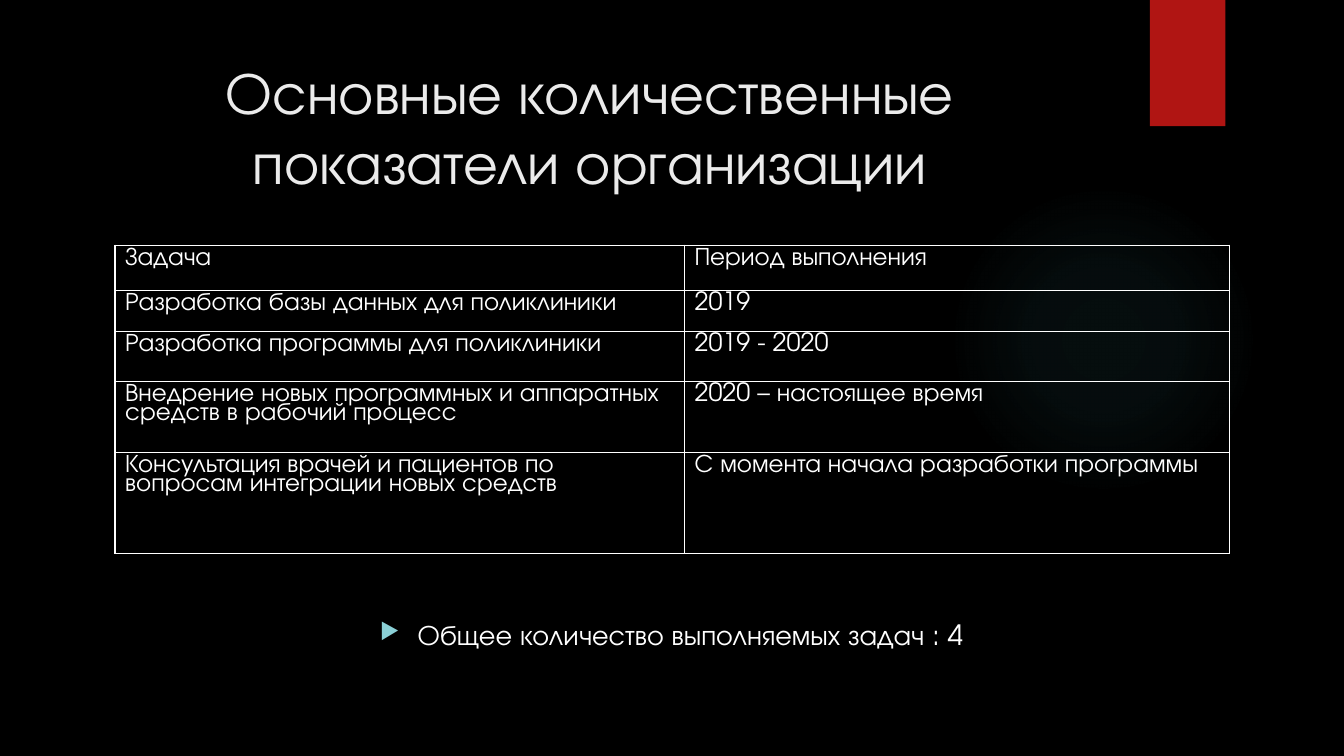
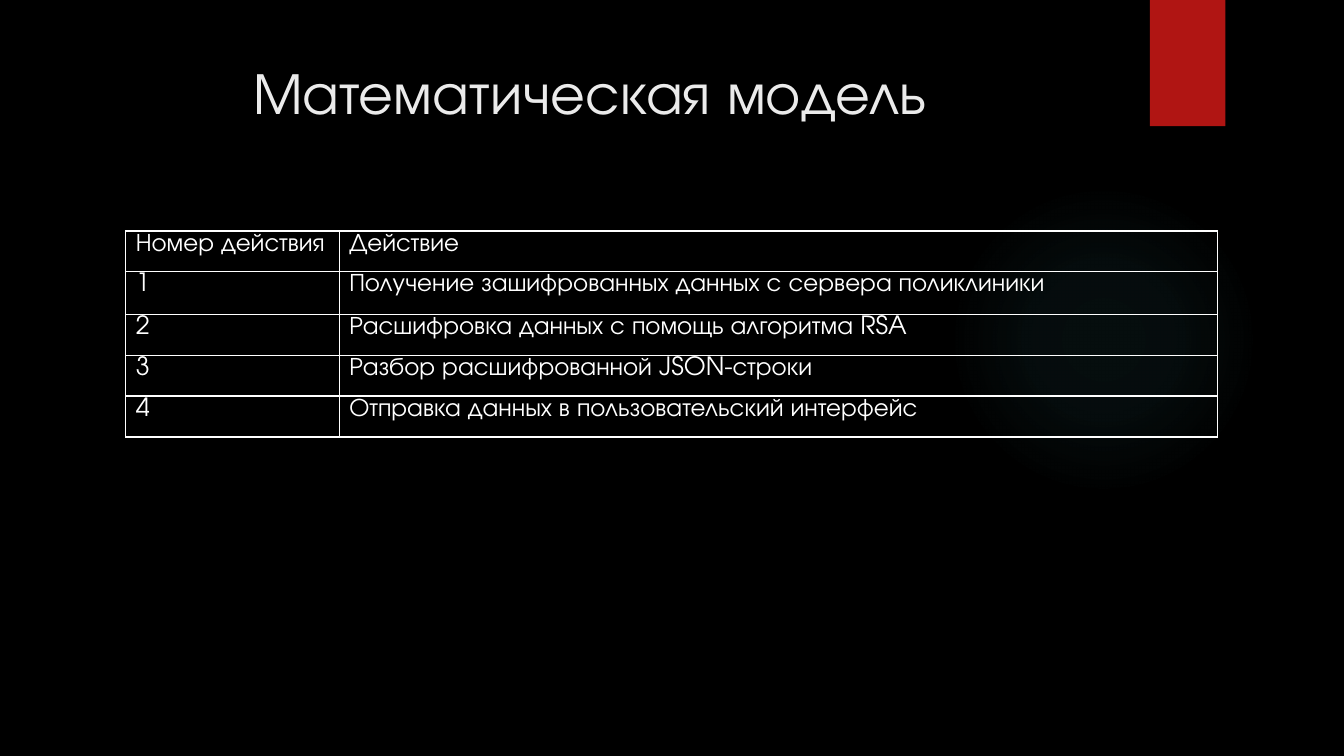
"""Build two dark slides, each with a title and a bordered table."""
from lxml.etree import SubElement
from pptx import Presentation
from pptx.dml.color import RGBColor
from pptx.enum.shapes import MSO_SHAPE as Preset
from pptx.enum.text import MSO_ANCHOR as Anchor, PP_ALIGN as Align
from pptx.oxml import parse_xml
from pptx.oxml.ns import nsdecls, qn
from pptx.util import Cm, Pt

COLORS = {
    "background": "000000",
    "ribbon": "B01513",
    "glow": "50B9C1",
    "title": "EBEBEB",
    "text": "FFFFFF",
    "bullet": "8AD0D6",
}
FONT = "TeX Gyre Adventor"
STYLES = {
    "title": {
        "font": {"name": FONT, "size": Pt(42)},
        "paragraph": {"alignment": Align.CENTER},
        "color": "title",
    },
    "body": {
        "font": {"name": FONT, "size": Pt(20)},
        "paragraph": {"alignment": Align.CENTER},
        "color": "text",
    },
    "cell": {
        "font": {"name": FONT, "size": Pt(18)},
        "paragraph": {"alignment": Align.LEFT, "line_spacing": 0.8},
        "color": "text",
    },
}
GLOW_STOPS = [(0, 7), (36, 6), (69, 0)]
SLIDES = [
    {
        "title": "Основные количественные показатели организации",
        "left": 2.9,
        "top": 6.18,
        "columns": [14.35, 13.74],
        "rows": [1.14, 1.04, 1.26, 1.79, 2.54],
        "cells": [
            ("Задача", "Период выполнения"),
            ("Разработка базы данных для поликлиники", "2019"),
            ("Разработка программы для поликлиники", "2019 - 2020"),
            ("Внедрение новых программных и аппаратных средств в рабочий процесс",
             "2020 – настоящее время"),
            ("Консультация врачей и пациентов по вопросам интеграции новых средств",
             "С момента начала разработки программы"),
        ],
        "summary": "Общее количество выполняемых задач : 4",
    },
    {
        "title": "Математическая модель",
        "left": 3.17,
        "top": 5.82,
        "columns": [5.38, 22.13],
        "rows": [1.03, 1.07, 1.03, 1.03, 1.03],
        "cells": [
            ("Номер действия", "Действие"),
            ("1", "Получение зашифрованных данных с сервера поликлиники"),
            ("2", "Расшифровка данных с помощь алгоритма RSA"),
            ("3", "Разбор расшифрованной JSON-строки"),
            ("4", "Отправка данных в пользовательский интерфейс"),
        ],
        "summary": None,
    },
]


def write_text(frame, text, style_name):
    style = STYLES[style_name]
    frame.word_wrap = True
    frame.vertical_anchor = Anchor.TOP
    paragraph = frame.paragraphs[0]
    for name, value in style["paragraph"].items():
        setattr(paragraph, name, value)
    run = paragraph.add_run()
    run.text = text
    for name, value in style["font"].items():
        setattr(run.font, name, value)
    run.font.color.rgb = RGBColor.from_string(COLORS[style["color"]])
    return paragraph


presentation = Presentation()
presentation.slide_width = Cm(33.87)
presentation.slide_height = Cm(19.05)

for content in SLIDES:
    slide = presentation.slides.add_slide(presentation.slide_layouts[6])
    slide.background.fill.solid()
    slide.background.fill.fore_color.rgb = RGBColor.from_string(COLORS["background"])

    glow = slide.shapes.add_shape(Preset.OVAL, Cm(23.9), Cm(4.65), Cm(7.82), Cm(7.82))
    ribbon = slide.shapes.add_shape(Preset.RECTANGLE, Cm(28.98), Cm(0), Cm(1.9), Cm(3.18))
    for shape in (glow, ribbon):
        shape.shadow.inherit = False
        shape.line.fill.background()
    ribbon.fill.solid()
    ribbon.fill.fore_color.rgb = RGBColor.from_string(COLORS["ribbon"])
    stops = "".join(
        f'<a:gs pos="{position * 1000}"><a:srgbClr val="{COLORS["glow"]}">'
        f'<a:alpha val="{opacity * 1000}"/></a:srgbClr></a:gs>'
        for position, opacity in GLOW_STOPS
    )
    gradient = parse_xml(
        f'<a:gradFill {nsdecls("a")} rotWithShape="1"><a:gsLst>{stops}</a:gsLst>'
        '<a:path path="circle"><a:fillToRect l="50000" t="50000" r="50000" b="50000"/>'
        "</a:path></a:gradFill>"
    )
    glow._element.spPr.find(qn("a:prstGeom")).addnext(gradient)

    title = slide.shapes.add_textbox(Cm(1.8), Cm(1.27), Cm(26.14), Cm(3.89))
    write_text(title.text_frame, content["title"], "title")

    if content["summary"]:
        summary = slide.shapes.add_textbox(Cm(3.17), Cm(14.25), Cm(27.51), Cm(3.2))
        summary.text_frame.margin_top = Cm(1.32)
        paragraph = write_text(summary.text_frame, content["summary"], "body")
        properties = paragraph._p.get_or_add_pPr()
        properties.set("marL", str(Cm(0.95)))
        properties.set("indent", str(-Cm(0.95)))
        bullet_color = SubElement(properties, qn("a:buClr"))
        SubElement(bullet_color, qn("a:srgbClr"), val=COLORS["bullet"])
        SubElement(properties, qn("a:buSzPct"), val="80000")
        SubElement(properties, qn("a:buChar"), char="▶")

    columns, rows = content["columns"], content["rows"]
    table = slide.shapes.add_table(
        len(rows), len(columns), Cm(content["left"]), Cm(content["top"]),
        Cm(sum(columns)), Cm(sum(rows)),
    ).table
    table.first_row = False
    table.horz_banding = False
    for column, width in zip(table.columns, columns):
        column.width = Cm(width)
    for row, height, texts in zip(table.rows, rows, content["cells"]):
        row.height = Cm(height)
        for cell, text in zip(row.cells, texts):
            write_text(cell.text_frame, text, "cell")
            cell_properties = cell._tc.get_or_add_tcPr()
            for side in ("lnL", "lnR", "lnT", "lnB"):
                border = SubElement(cell_properties, qn(f"a:{side}"), w=str(Pt(1)))
                border_fill = SubElement(border, qn("a:solidFill"))
                SubElement(border_fill, qn("a:srgbClr"), val=COLORS["text"])
            cell.fill.background()

presentation.save("out.pptx")
